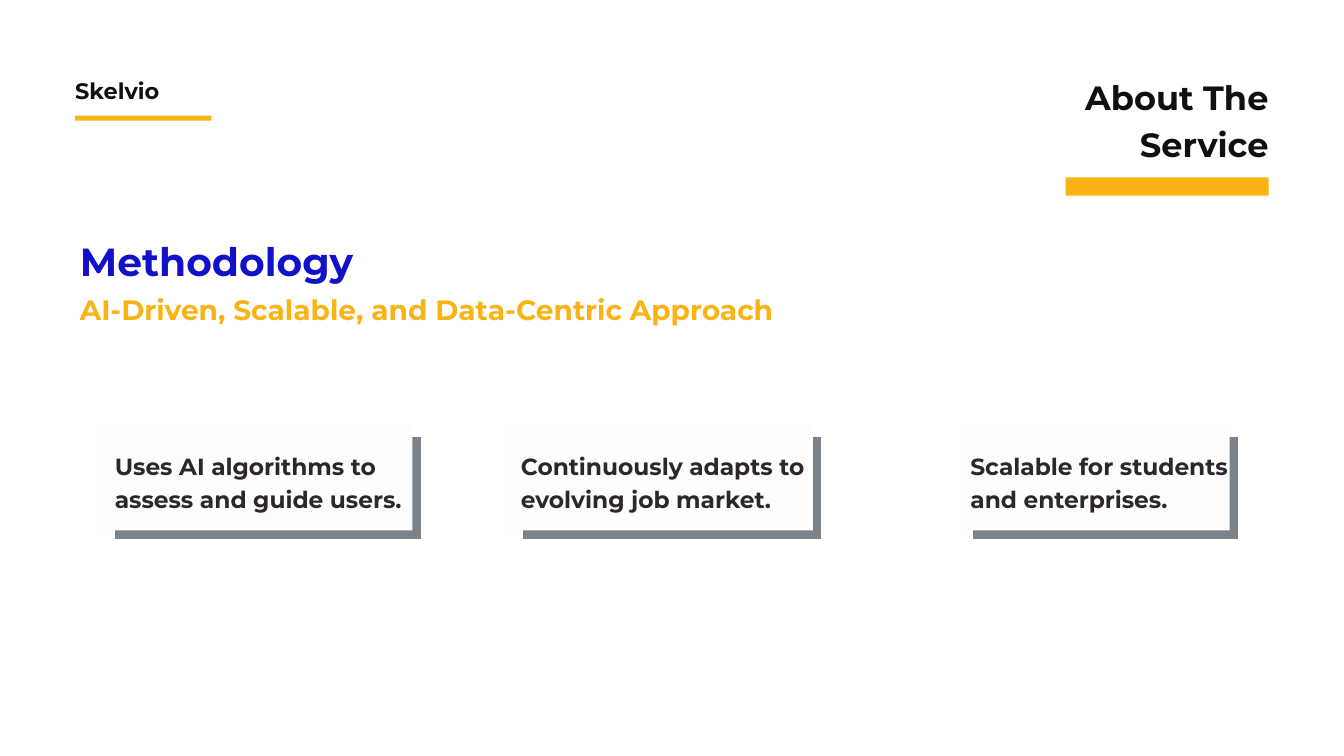
"""Build the methodology slide with three captioned cards."""
from pptx import Presentation
from pptx.dml.color import RGBColor
from pptx.enum.shapes import MSO_SHAPE as Shape
from pptx.enum.text import PP_ALIGN as Align
from pptx.util import Cm, Pt

COLOURS = {
    "blue": "1211CA", "amber": "F9B314", "black": "101010", "ink": "2D262A",
    "shadow": "77838D", "white": "FFFFFF", "card": "FDFDFD",
}
FONT = "Montserrat"

# text, (left, top, width, height), size, line spacing, colour, alignment
HEADINGS = [
    ("Methodology", (3.02, 9.37, 17.91, 1.47), 42, 39.5, "blue", Align.LEFT),
    ("AI-Driven, Scalable, and Data-Centric Approach",
     (3.02, 11.33, 28.47, 1.04), 30, 28.2, "amber", Align.LEFT),
    ("About The Service", (38.25, 2.67, 9.7, 3.48), 36, 50.4, "black", Align.RIGHT),
    ("Skelvio", (2.84, 2.74, 9.7, 1.09), 24, 33.6, "black", Align.LEFT),
]
UNDERLINES = [(40.28, 6.71, 7.67, 0.69), (2.84, 4.37, 5.15, 0.19)]

# text, card left, card width, text left, text width
CARDS = [
    ("Uses AI algorithms to assess and guide users.", 3.91, 11.68, 4.34, 11.2),
    ("Continuously adapts to evolving job market.", 19.33, 11.4, 19.69, 11.35),
    ("Scalable for students and enterprises.", 36.37, 10.11, 36.68, 10.11),
]
CARD_TOP, CARD_HEIGHT, SHADOW_SHIFT = 16.1, 3.95, 0.37
CAPTION_TOP, CAPTION_HEIGHT = 16.92, 2.36


def colour(name):
    return RGBColor.from_string(COLOURS[name])


def add_block(slide, place, fill, outline=None):
    block = slide.shapes.add_shape(Shape.RECTANGLE, *map(Cm, place))
    block.shadow.inherit = False
    block.fill.solid()
    block.fill.fore_color.rgb = colour(fill)
    if outline:
        block.line.color.rgb = colour(outline)
        block.line.width = Pt(3)
    else:
        block.line.fill.background()


def add_text(slide, text, place, size, spacing, ink, align=Align.LEFT):
    frame = slide.shapes.add_textbox(*map(Cm, place)).text_frame
    frame.word_wrap = True
    frame.margin_left = frame.margin_right = 0
    frame.margin_top = frame.margin_bottom = 0
    paragraph = frame.paragraphs[0]
    paragraph.text = text
    paragraph.alignment = align
    paragraph.line_spacing = Pt(spacing)
    font = paragraph.font
    font.name, font.size, font.bold = FONT, Pt(size), True
    font.color.rgb = colour(ink)


def main():
    deck = Presentation()
    deck.slide_width, deck.slide_height = Cm(50.8), Cm(28.58)
    slide = deck.slides.add_slide(deck.slide_layouts[6])

    for heading in HEADINGS:
        add_text(slide, *heading)
    for place in UNDERLINES:
        add_block(slide, place, "amber")
    for text, left, width, text_left, text_width in CARDS:
        add_block(slide, (left + SHADOW_SHIFT, CARD_TOP + SHADOW_SHIFT,
                          width, CARD_HEIGHT), "shadow", "white")
        add_block(slide, (left, CARD_TOP, width, CARD_HEIGHT), "card")
        add_text(slide, text, (text_left, CAPTION_TOP, text_width, CAPTION_HEIGHT),
                 25, 35, "ink")

    deck.save("out.pptx")


if __name__ == "__main__":
    main()
